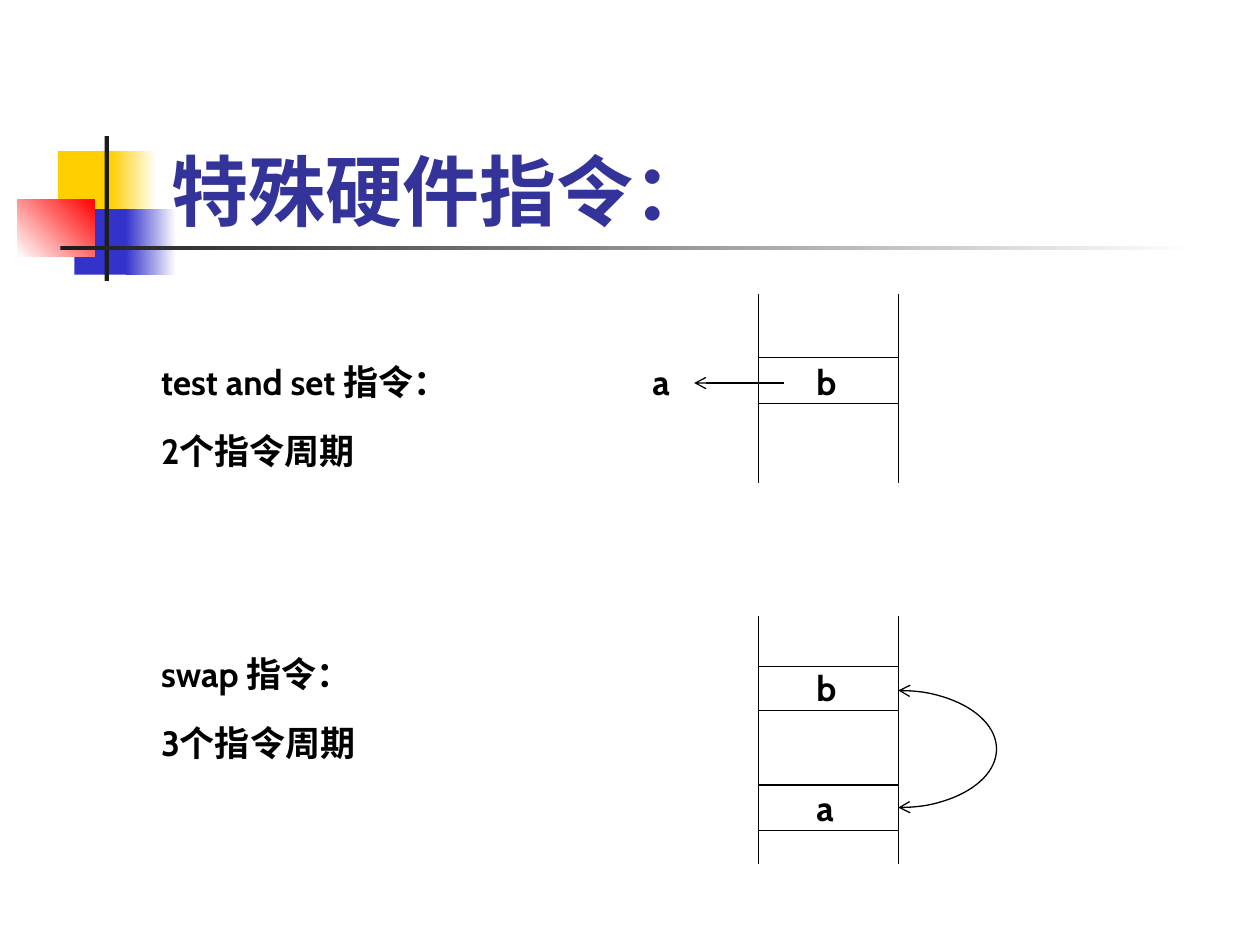
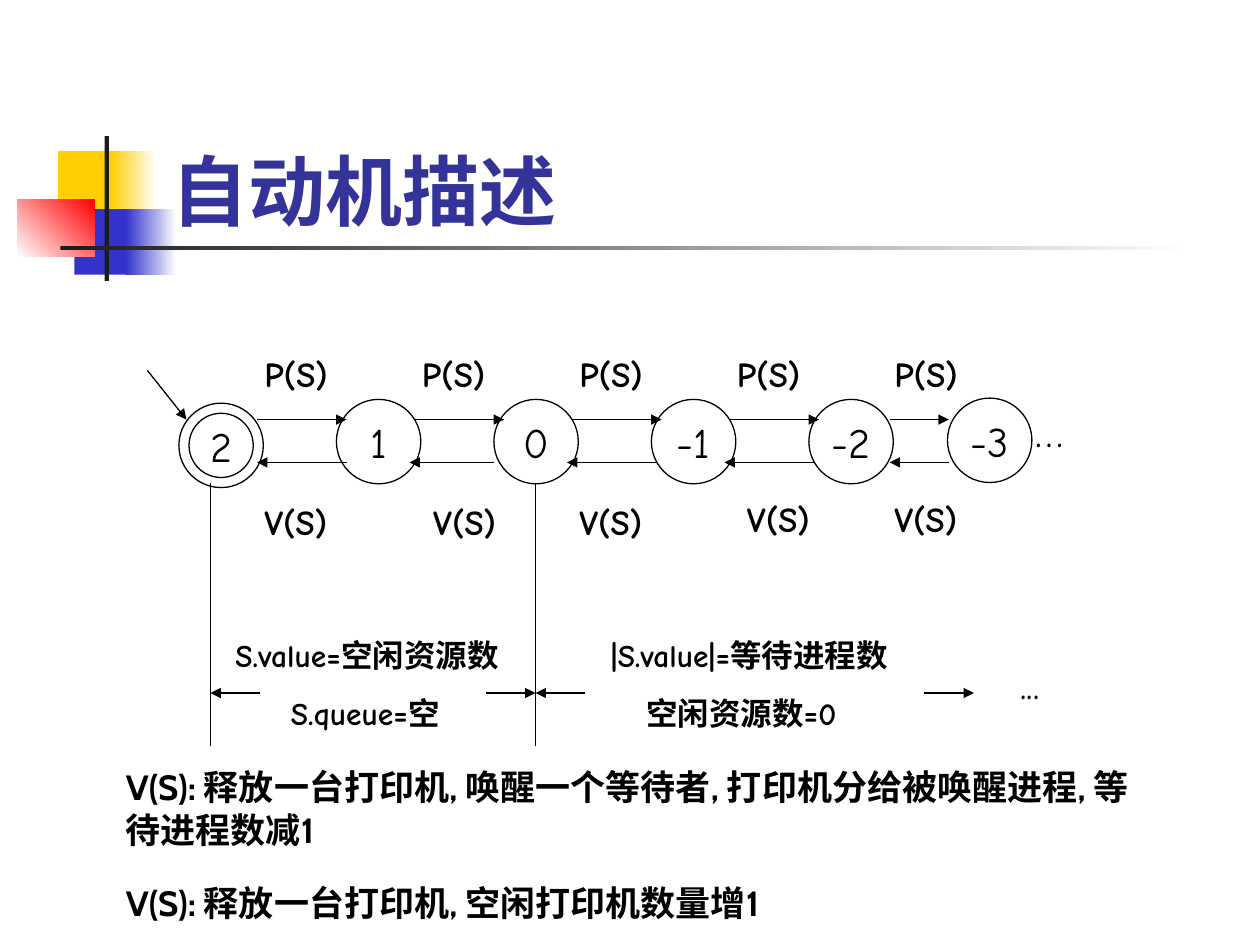
import pptx
import pptx.util
import pptx.dml.color
import pptx.enum.shapes
import pptx.enum.text
import pptx.oxml
import pptx.oxml.ns

rgb = pptx.dml.color.RGBColor.from_string
Pt = pptx.util.Pt
MSO = pptx.enum.shapes.MSO_SHAPE
PP = pptx.enum.text


class Theme:
    title = rgb("333399")
    ink = rgb("000000")
    bar = rgb("1C1C1C")
    yellow = rgb("FFCF01")
    blue = rgb("3333CC")
    red = rgb("FF0000")
    white = rgb("FFFFFF")
    sans = "Cabin"
    comic = "Comic Neue"
    title_size = 44
    large = 24
    body = 20
    small = 18
    rule = Pt(0.75)


prs = pptx.Presentation()
prs.slide_width = pptx.util.Inches(10)
prs.slide_height = pptx.util.Inches(7.5)
U = prs.slide_width // 100  # 100 columns by 75 rows


def text(s, x, y, w, h, lines, size=Theme.body, font=Theme.sans, bold=True,
         color=Theme.ink, oval=False, grow=True, before=0, indent=0):
    box = [int(v * U) for v in (x, y, w, h)]
    if oval:
        sp = s.shapes.add_shape(MSO.OVAL, *box)
        sp.shadow.inherit = False
        sp.fill.background()
        sp.line.color.rgb = Theme.ink
        sp.line.width = Theme.rule
    else:
        sp = s.shapes.add_textbox(*box)
    tf = sp.text_frame
    tf.word_wrap = not oval
    if oval:
        tf.vertical_anchor = PP.MSO_ANCHOR.MIDDLE
    elif grow:
        tf.auto_size = PP.MSO_AUTO_SIZE.SHAPE_TO_FIT_TEXT
    else:
        tf.vertical_anchor = PP.MSO_ANCHOR.BOTTOM
    for i, line in enumerate(lines):
        p = tf.add_paragraph() if i else tf.paragraphs[0]
        p.text = line
        p.alignment = PP.PP_ALIGN.CENTER if oval else PP.PP_ALIGN.LEFT
        if i:
            p.space_before = Pt(before)
            p._p.get_or_add_pPr().set("marL", str(int(indent * U)))
        p.font.size = Pt(size)
        p.font.name = font
        p.font.bold = bold
        p.font.color.rgb = color


def line(s, x1, y1, x2, y2, tip=None):
    ends = [int(v * U) for v in (x1, y1, x2, y2)]
    c = s.shapes.add_connector(pptx.enum.shapes.MSO_CONNECTOR.STRAIGHT, *ends)
    c.line.color.rgb = Theme.ink
    c.line.width = Theme.rule
    if tip:
        pptx.oxml.ns.qn("a:tailEnd")
        c.line._get_or_add_ln().append(pptx.oxml.parse_xml(
            f'<a:tailEnd {pptx.oxml.ns.nsdecls("a")} type="{tip}"/>'))
    c._element.spPr.append(pptx.oxml.parse_xml(
        f'<a:effectLst {pptx.oxml.ns.nsdecls("a")}/>'))


band = [
    (4.6, 12, 4.8, 5.2, Theme.yellow, None, 0),
    (8.8, 12, 3.6, 5.2, Theme.yellow, Theme.white, 0),
    (5.9, 16.6, 4.6, 5.2, Theme.blue, None, 0),
    (10, 16.6, 4, 5.2, Theme.blue, Theme.white, 0),
    (1.4, 15.8, 6.1, 4.6, Theme.white, Theme.red, 45),
    (8.3, 10.8, 0.35, 11.5, Theme.bar, None, 0),
    (4.8, 19.5, 90, 0.35, Theme.bar, Theme.white, 0),
]
slides = []
for title in ("特殊硬件指令：", "自动机描述"):
    s = prs.slides.add_slide(prs.slide_layouts[6])
    slides.append(s)
    for x, y, w, h, start, end, angle in band:
        sp = s.shapes.add_shape(MSO.RECTANGLE, *[int(v * U) for v in (x, y, w, h)])
        sp.shadow.inherit = False
        sp.line.fill.background()
        if end is None:
            sp.fill.solid()
            sp.fill.fore_color.rgb = start
        else:
            sp.fill.gradient()
            sp.fill.gradient_angle = angle
            for stop, color in zip(sp.fill.gradient_stops, (start, end)):
                stop.color.rgb = color
    text(s, 12.6, 6.7, 85.2, 12.5, [title], Theme.title_size,
         color=Theme.title, grow=False)

s = slides[0]
left, right = 60.2, 71.3
for top, bottom, rows in ((23.3, 38.3, (28.4, 32)),
                          (48.9, 68.6, (52.9, 56.4, 62.3, 65.9))):
    for x in (left, right):
        line(s, x, top, x, bottom)
    for y in rows:
        line(s, left, y, right, y)
line(s, 62.2, 30.4, 55.1, 30.4, "arrow")
for x, y, name in ((63.8, 28.1, "b"), (50.8, 28.1, "a"),
                   (63.8, 52.4, "b"), (63.8, 61.9, "a")):
    text(s, x, y, 3.9, 4.4, [name])

arc = s.shapes.add_shape(MSO.ARC, *[int(v * U) for v in (63.5, 54.8, 15.6, 9.3)])
arc.shadow.inherit = False
arc.fill.background()
arc.line.color.rgb = Theme.ink
arc.line.width = Theme.rule
arc.adjustments[0] = 162
arc.adjustments[1] = 54
for end in ("headEnd", "tailEnd"):
    arc.line._get_or_add_ln().append(pptx.oxml.parse_xml(
        f'<a:{end} {pptx.oxml.ns.nsdecls("a")} type="arrow"/>'))

for y, name, cycles in ((28.1, "test and set 指令：", "2个指令周期"),
                        (51.3, "swap 指令：", "3个指令周期")):
    text(s, 11.8, y, 31.5, 4.4, [name])
    text(s, 11.8, y + 5.5, 22.4, 4.4, [cycles])

s = slides[1]
step = 12.5
for x, y, state in ((14.2, 32, "2"), (26.7, 31.7, "1"), (39.2, 31.7, "0"),
                    (51.7, 31.7, "-1"), (64.2, 31.7, "-2"), (75.2, 31.6, "-3")):
    text(s, x, y, 6.7, 6.7, [state], Theme.large, Theme.comic, False, oval=True)
text(s, 15, 32.8, 5.1, 5.1, [], oval=True)

p_ends = [(20.4 + step * i, 27.5 + step * i) for i in range(4)] + [(70.6, 75.3)]
v_ends = [(27.5, 20.4), (39.2, 32.5), (52.1, 45), (64.6, 57.5), (75.3, 70.6)]
for y, ends in ((33.3, p_ends), (36.7, v_ends)):
    for x1, x2 in ends:
        line(s, x1, y, x2, y, "triangle")
for i, (x, y) in enumerate(((20, 39.2), (33.4, 39.2), (45, 39.2),
                            (58.3, 39), (70, 39))):
    text(s, 20 + step * i, 27.5, 8.3, 4.4, ["P(S)"], font=Theme.comic)
    text(s, x, y, 8.3, 4.4, ["V(S)"], font=Theme.comic)

line(s, 11.7, 29.4, 14.8, 33.3, "triangle")
for x in (16.7, 42.5):
    line(s, x, 38.3, x, 59.2)
for x1, x2 in ((38.6, 42.5), (20.6, 16.7), (46.4, 42.5), (73.3, 77.3)):
    line(s, x1, 55, x2, 55, "triangle")

for x, w, indent, lines in (
        (17.7, 25.2, 4.4, ["S.value=空闲资源数", "S.queue=空"]),
        (47.5, 27.7, 2.8, ["|S.value|=等待进程数", "空闲资源数=0"])):
    text(s, x, 50, w, 8.6, lines, Theme.small, Theme.comic,
         before=11.2, indent=indent)
for x, y, w, dots in ((81.2, 31.7, 5, "…"), (80, 51.7, 6.7, "...")):
    text(s, x, y, w, 5, [dots], Theme.large, Theme.comic, False)
text(s, 9, 60.3, 82.7, 13.8,
     ["V(S): 释放一台打印机, 唤醒一个等待者, 打印机分给被唤醒进程, 等待进程数减1",
      "V(S): 释放一台打印机, 空闲打印机数量增1"], before=18)

prs.save("out.pptx")
